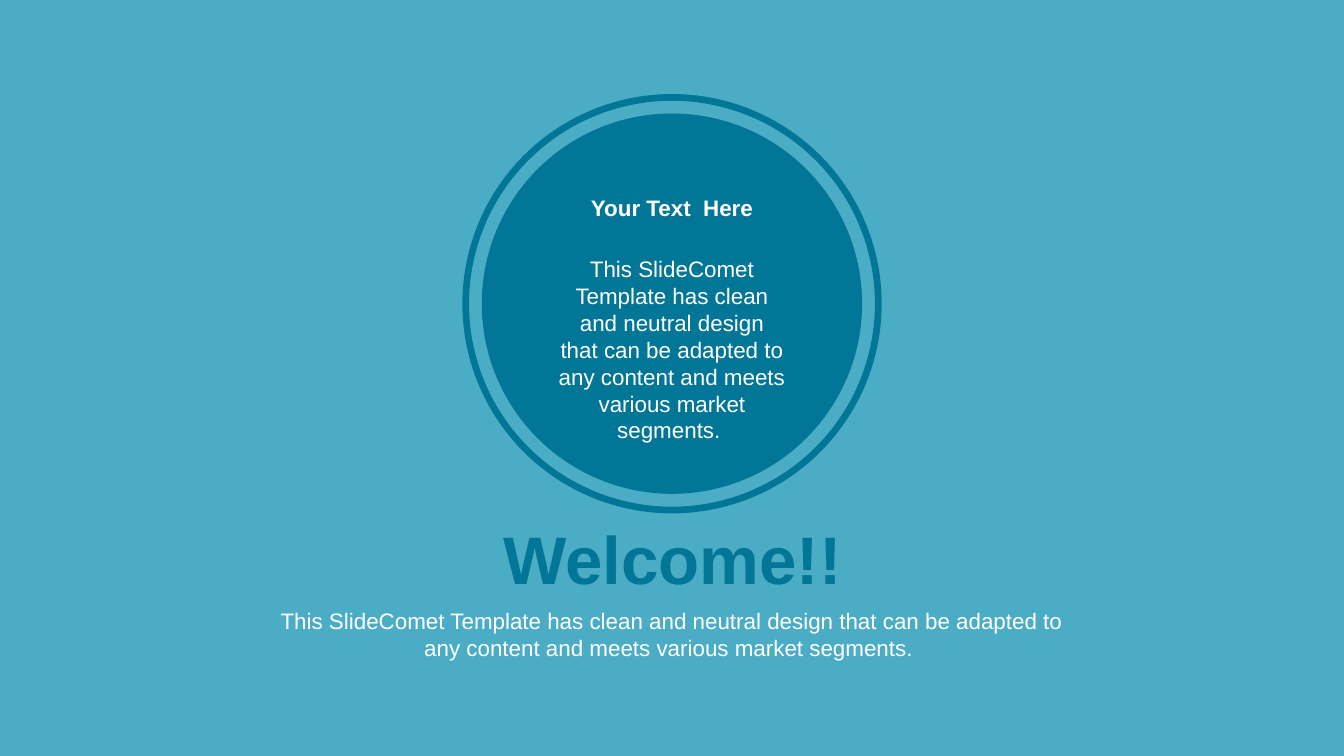
from dataclasses import dataclass

from pptx import Presentation, util as u
from pptx.dml.color import RGBColor
from pptx.enum import shapes, text

PX = u.Inches(1) // 200


@dataclass(frozen=True)
class Theme:
    font: str = "Arial"
    background: str = "4BACC6"
    accent: str = "027696"
    light: str = "FFFFFF"
    body: int = 12
    title: int = 36


T = Theme()
BLURB = ("This SlideComet Template has clean and neutral design that can be "
         "adapted to any content and meets various market segments. ")


def emu(*px):
    return [v * PX for v in px]


def add_text(s, box, content, size=T.body, color=T.light, bold=False,
             anchor=text.MSO_ANCHOR.TOP):
    tf = s.shapes.add_textbox(*emu(*box)).text_frame
    tf.word_wrap = True
    tf.vertical_anchor = anchor
    p = tf.paragraphs[0]
    p.alignment = text.PP_ALIGN.CENTER
    r = p.add_run()
    r.text = content
    r.font.name, r.font.size, r.font.bold = T.font, u.Pt(size), bold
    r.font.color.rgb = RGBColor.from_string(color)


def add_round(s, kind, box):
    sp = s.shapes.add_shape(kind, *emu(*box))
    sp.shadow.inherit = False
    sp.fill.solid()
    sp.fill.fore_color.rgb = RGBColor.from_string(T.accent)
    sp.line.fill.background()
    return sp


def add_badge(s, x, y, size):
    gap = 29
    add_round(s, shapes.MSO_SHAPE.OVAL,
              (x + gap, y + gap, size - 2 * gap, size - 2 * gap))
    ring = add_round(s, shapes.MSO_SHAPE.DONUT, (x, y, size, size))
    ring.adjustments[0] = 0.016
    add_text(s, (x + 123, y + 230, 378, 302), BLURB)
    add_text(s, (x + 123, y + 139, 378, 60), "Your Text  Here", bold=True)


def add_welcome(s, x, y, w):
    title_w, title_h = 646, 126
    add_text(s, (x + (w - title_w) // 2 + 1, y, title_w, title_h), "Welcome!!",
             size=T.title, color=T.accent, bold=True,
             anchor=text.MSO_ANCHOR.MIDDLE)
    add_text(s, (x, y + title_h + 1, w, 100), BLURB)


def main():
    prs = Presentation()
    prs.slide_width, prs.slide_height = emu(2000, 1125)
    s = prs.slides.add_slide(prs.slide_layouts[6])
    s.background.fill.solid()
    s.background.fill.fore_color.rgb = RGBColor.from_string(T.background)
    add_badge(s, 688, 140, 624)
    add_welcome(s, 370, 767, 1260)
    prs.save("out.pptx")


if __name__ == "__main__":
    main()
